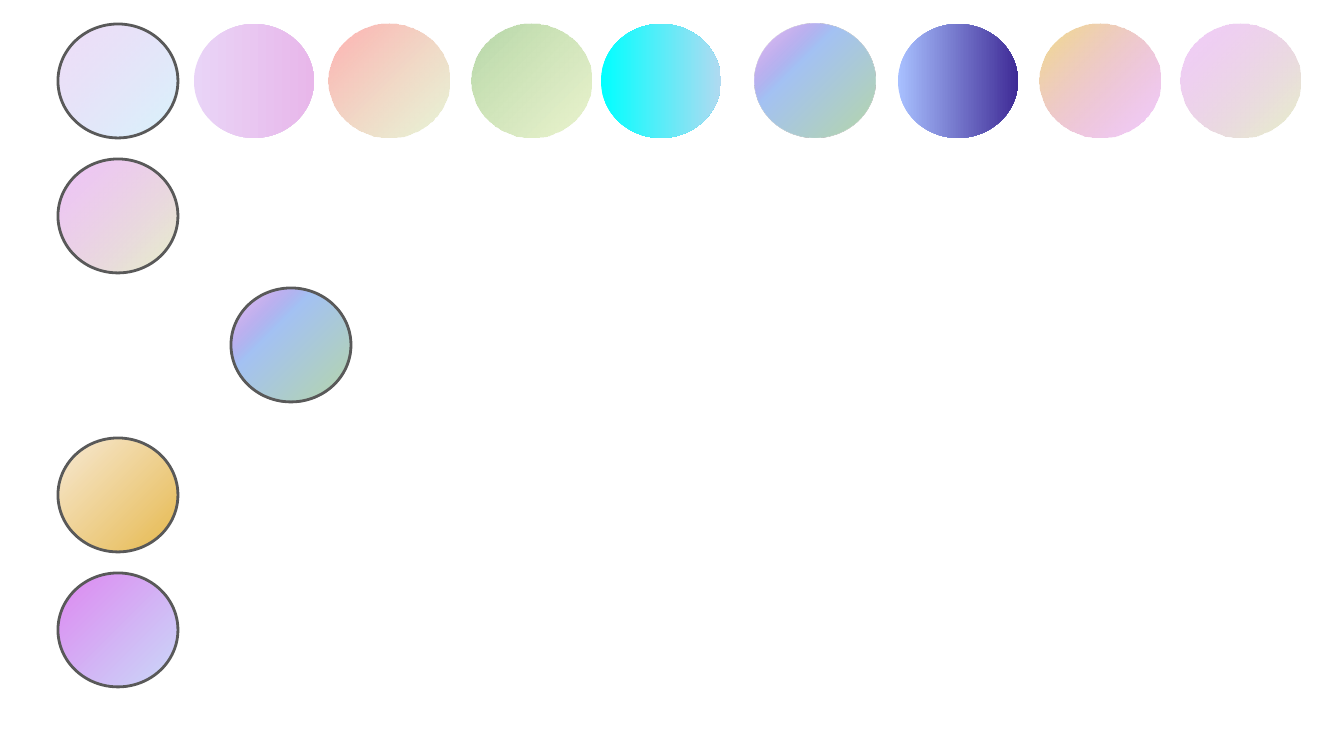
from lxml import etree
from pptx import Presentation, util as u
from pptx.dml.color import RGBColor
from pptx.enum import shapes
from pptx.oxml.ns import qn

SCALE = 914400 / 134.4
WIDE, HIGH = 120, 114
HUES = {
    "edge": "595959", "sky": "69D4F4", "violet": "9F39D5", "lilac": "E9D4F7",
    "mauve": "E8B7EA", "mint": "D8EDBA", "coral": "FE9696", "lime": "E0EDBA",
    "green": "B6D7A8", "cyan": "00FFFF", "pale": "B0DAF1", "blue": "A4C2F4",
    "azure": "A8C0FF", "navy": "3F2B96", "pink": "DE87F1", "lemon": "F1DD87",
    "cream": "F7E9D4", "gold": "E6B94E", "ice": "C9DAF8",
}
PRISM = [(0, "green", 100), (64, "blue", 100), (100, "violet", 17)]
TOP = [
    (0, 225, [(0, "sky", 26), (100, "violet", 17)], True),
    (136, 0, [(0, "lilac", 100), (100, "mauve", 100)], False),
    (271, 225, [(0, "mint", 58), (100, "coral", 74)], False),
    (414, 225, [(0, "lime", 71), (100, "green", 100)], False),
    (543, 0, [(0, "cyan", 100), (100, "pale", 100)], False),
    (697, 225, PRISM, False),
    (840, 0, [(0, "azure", 100), (100, "navy", 100)], False),
    (982, 225, [(0, "pink", 40), (100, "lemon", 100)], False),
    (1123, 225, [(0, "lime", 79), (100, "pink", 40)], False),
]
SIDE = [
    (0, 0, 225, [(0, "lime", 79), (100, "pink", 48)]),
    (173, 129, 225, PRISM),
    (0, 279, 45, [(0, "cream", 100), (100, "gold", 100)]),
    (0, 414, 225, [(0, "ice", 100), (100, "pink", 100)]),
]


def px(n):
    """Turn pixels into EMU."""
    return u.Emu(round(n * SCALE))


def blend(ball, turn, stops):
    """Fill a ball with a linear gradient of (place, hue, opacity) stops."""
    ball.fill.gradient()
    ball.fill.gradient_angle = (360 - turn) % 360
    ramp = ball._element.spPr.find(".//" + qn("a:gsLst"))
    for old in list(ramp):
        ramp.remove(old)
    for place, hue, alpha in stops:
        stop = etree.SubElement(ramp, qn("a:gs"), pos=str(place * 1000))
        tint = etree.SubElement(stop, qn("a:srgbClr"), val=HUES[hue])
        if alpha < 100:
            etree.SubElement(tint, qn("a:alpha"), val=str(alpha * 1000))


def disc(slide, x, y, turn, stops, edge):
    """Draw one gradient disc, with or without an edge."""
    ball = slide.shapes.add_shape(
        shapes.MSO_SHAPE.OVAL, px(x), px(y), px(WIDE), px(HIGH))
    ball.shadow.inherit = False
    blend(ball, turn, stops)
    if edge:
        ball.line.color.rgb = RGBColor.from_string(HUES["edge"])
        ball.line.width = u.Pt(1.5)
    else:
        ball.line.fill.background()


def row(slide, x, y):
    """Draw the top row of discs from the given corner."""
    for dx, turn, stops, edge in TOP:
        disc(slide, x + dx, y, turn, stops, edge)


def column(slide, x, y):
    """Draw the edged discs below the row from the given corner."""
    for dx, dy, turn, stops in SIDE:
        disc(slide, x + dx, y + dy, turn, stops, True)


def main():
    """Build and save the slide."""
    deck = Presentation()
    deck.slide_width, deck.slide_height = px(1344), px(756)
    slide = deck.slides.add_slide(deck.slide_layouts[6])
    row(slide, 58, 24)
    column(slide, 58, 159)
    deck.save("out.pptx")


if __name__ == "__main__":
    main()
